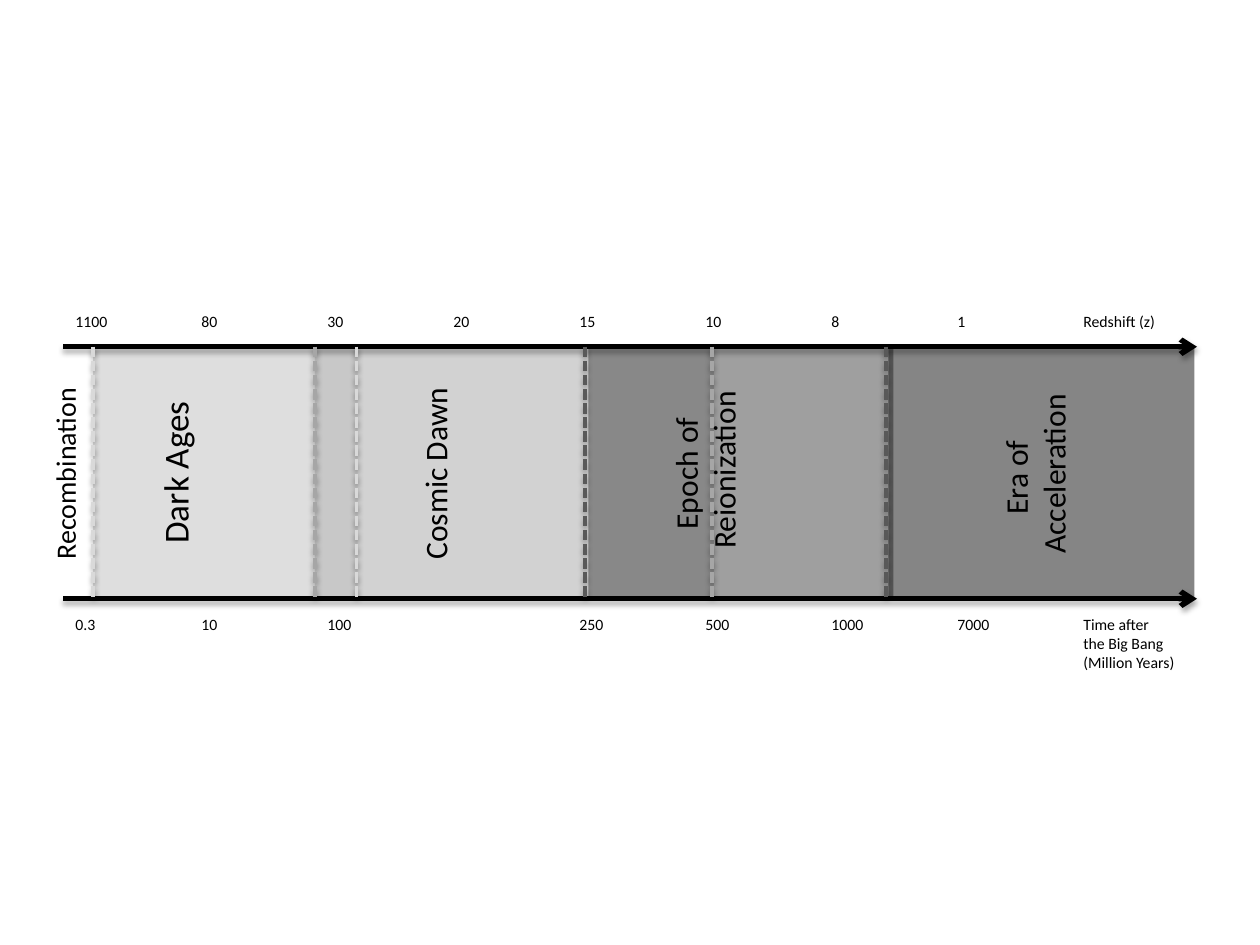
"""Build a slide with the timeline of cosmic eras."""
from pptx import Presentation, util as u
from pptx.dml import color
from pptx.enum import dml, shapes, text
from pptx.oxml import parse_xml
from pptx.oxml.ns import nsdecls

FONT = "Calibri"
LEFT, RIGHT = 1.27, 24.13
TOP, BOTTOM = 6.99, 12.07
TAB = 2.54
ERAS = [(6.35, 8.05, "A6A6A6"), (11.86, 6.15, "404040"),
        (17.91, 6.17, "0D0D0D"), (1.88, 5.33, "BFBFBF")]
BORDERS = [(1.88, "D9D9D9"), (6.35, "A6A6A6"), (7.19, "D9D9D9"),
           (11.79, "595959"), (14.35, "A6A6A6"), (17.86, "595959")]
NAMES = [(["Recombination"], 0.84, 7.67, 1.19, 3.76, 16),
         (["Dark Ages"], 2.97, 7.95, 1.37, 3.15, 20),
         (["Cosmic Dawn"], 8.26, 7.67, 1.27, 3.76, 18),
         (["Epoch of ", "Reionization"], 13.31, 7.75, 2.06, 3.45, 18),
         (["Era of ", "Acceleration"], 19.96, 7.8, 2.06, 3.51, 18)]
REDSHIFTS = ["1100", "80", "30", "20", "15", "10", "8", "1", "Redshift (z)"]
TIMES = ["0.3", "10", "100", "", "250", "500", "1000", "7000", "Time after "]


def rgb(code):
    """Return the colour for a hex string."""
    return color.RGBColor.from_string(code)


def apply(target, values):
    """Set each attribute of the target from a dict."""
    for name, value in values.items():
        setattr(target, name, value)


def add_era(page, left, width, fill):
    """Add a half transparent band between the two axes."""
    band = page.shapes.add_shape(shapes.MSO_SHAPE.RECTANGLE, u.Cm(left), u.Cm(TOP),
                                 u.Cm(width), u.Cm(BOTTOM - TOP))
    band.shadow.inherit = False
    band.line.fill.background()
    band.fill.solid()
    band.fill.fore_color.rgb = rgb(fill)
    tone = band.element.spPr.find(".//{*}srgbClr")
    tone.append(parse_xml(f'<a:alpha {nsdecls("a")} val="50000"/>'))


def add_line(page, start, end, stroke, width, opacity, distance):
    """Add a straight line with a soft shadow below it."""
    line = page.shapes.add_connector(shapes.MSO_CONNECTOR.STRAIGHT,
                                     *(u.Cm(value) for value in start + end))
    line.line.width = u.Pt(width)
    line.line.color.rgb = rgb(stroke)
    line.element.spPr.append(parse_xml(
        f'<a:effectLst {nsdecls("a")}><a:outerShdw blurRad="40000" dist="{distance}" '
        f'dir="5400000" rotWithShape="0"><a:srgbClr val="000000">'
        f'<a:alpha val="{opacity}000"/></a:srgbClr></a:outerShdw></a:effectLst>'))
    return line


def add_axis(page, top):
    """Add a horizontal time arrow."""
    axis = add_line(page, (LEFT, top), (RIGHT, top), "000000", 3, 35, 23000)
    axis.line._get_or_add_ln().append(
        parse_xml(f'<a:tailEnd {nsdecls("a")} type="arrow"/>'))


def add_border(page, left, stroke):
    """Add a dashed vertical line between eras."""
    border = add_line(page, (left, TOP), (left, BOTTOM), stroke, 2, 38, 20000)
    border.line.dash_style = dml.MSO_LINE.SQUARE_DOT


def add_text(page, lines, left, top, width, height, size, wrap=True, align=None):
    """Add a text box with one paragraph per line."""
    box = page.shapes.add_textbox(*(u.Cm(v) for v in (left, top, width, height)))
    frame = box.text_frame
    apply(frame, {"word_wrap": wrap, "auto_size": text.MSO_AUTO_SIZE.SHAPE_TO_FIT_TEXT})
    for index, line in enumerate(lines):
        para = frame.add_paragraph() if index else frame.paragraphs[0]
        para.alignment = align
        span = para.add_run()
        span.text = line
        apply(span.font, {"name": FONT, "size": u.Pt(size)})
        span.font.color.rgb = rgb("000000")
    return box


def add_scale(page, labels, top, height, notes=()):
    """Add evenly tabbed axis labels, with notes under the last one."""
    box = add_text(page, ["\t".join(labels), *notes], LEFT, top, RIGHT - LEFT, height, 9)
    first, *rest = box.text_frame.paragraphs
    stops = "".join(f'<a:tab pos="{u.Cm(TAB * step)}" algn="l"/>'
                    for step in range(1, len(labels)))
    first._p.get_or_add_pPr().append(
        parse_xml(f'<a:tabLst {nsdecls("a")}>{stops}</a:tabLst>'))
    for para in rest:
        para._p.get_or_add_pPr().set("marL", str(u.Cm(TAB * (len(labels) - 1))))


def add_name(page, *values):
    """Add an era name that reads upwards."""
    box = add_text(page, *values, wrap=False, align=text.PP_ALIGN.CENTER)
    box.element.txBody.bodyPr.set("vert", "vert270")


def main():
    """Build and save the deck."""
    deck = Presentation()
    apply(deck, {"slide_width": u.Cm(25.4), "slide_height": u.Cm(19.05)})
    page = deck.slides.add_slide(deck.slide_layouts[6])
    for era in ERAS:
        add_era(page, *era)
    for top in (TOP, BOTTOM):
        add_axis(page, top)
    add_scale(page, REDSHIFTS, 6.15, 0.64)
    add_scale(page, TIMES, 12.27, 1.42, ["the Big Bang ", "(Million Years)"])
    for border in BORDERS:
        add_border(page, *border)
    for name in NAMES:
        add_name(page, *name)
    deck.save("out.pptx")


main()
